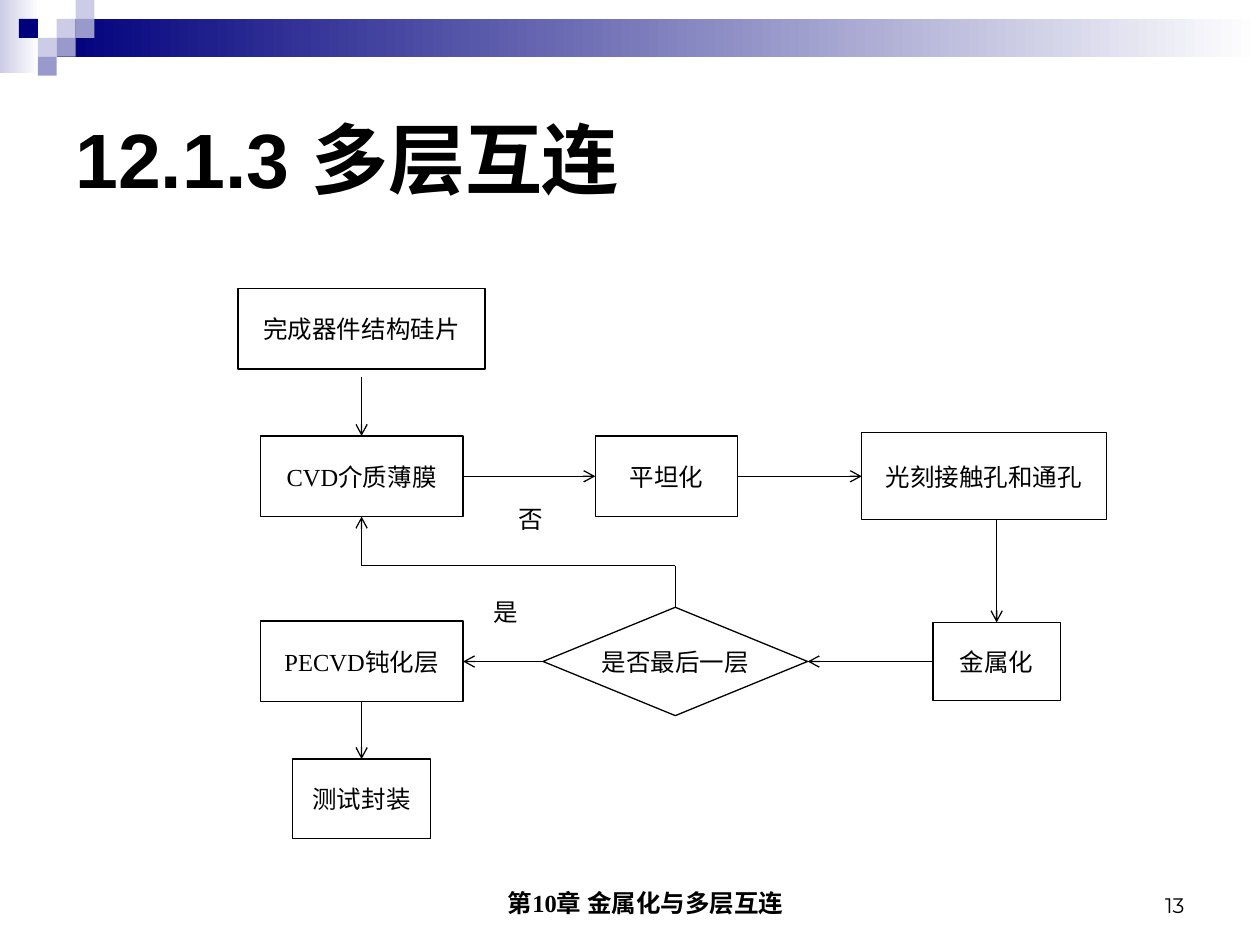
from dataclasses import dataclass

from lxml import etree
from pptx import Presentation
from pptx.dml.color import RGBColor
from pptx.enum.shapes import MSO_CONNECTOR as Connector, MSO_SHAPE as Shape
from pptx.enum.text import MSO_ANCHOR as Anchor, PP_ALIGN as Align
from pptx.oxml.ns import qn
from pptx.util import Inches, Pt


@dataclass(frozen=True)
class Theme:
    black: RGBColor = RGBColor(0, 0, 0)
    white: RGBColor = RGBColor(255, 255, 255)
    navy: RGBColor = RGBColor(0x00, 0x00, 0x7D)
    lavender: RGBColor = RGBColor(0x99, 0x99, 0xCC)
    pale: RGBColor = RGBColor(0xCC, 0xCC, 0xE6)
    heading: str = "Arial"
    body: str = "Times New Roman"
    number: str = "Montserrat"
    title_size: int = 44
    body_size: int = 14
    number_size: int = 12
    line_width: float = 0.75


THEME = Theme()
TOP, LEFT, BOTTOM, RIGHT = range(4)


def write(shape, text, *, size=THEME.body_size, font=THEME.body, bold=False,
          align=Align.CENTER, anchor=Anchor.MIDDLE, wrap=True, margin=0):
    frame = shape.text_frame
    frame.word_wrap = wrap
    frame.vertical_anchor = anchor
    paragraph = frame.paragraphs[0]
    paragraph.alignment = align
    if margin:
        properties = paragraph._p.get_or_add_pPr()
        properties.set("marL", str(Inches(margin)))
        properties.set("indent", "0")
    run = paragraph.add_run()
    run.text = text
    run.font.size = Pt(size)
    run.font.name = font
    run.font.bold = bold
    run.font.color.rgb = THEME.black


def add_text(slide, box, text, **text_format):
    write(slide.shapes.add_textbox(*map(Inches, box)), text, **text_format)


def add_block(slide, box, color, fade=False):
    """Borderless rectangle, either plain or fading to white at its right."""
    block = slide.shapes.add_shape(Shape.RECTANGLE, *map(Inches, box))
    block.shadow.inherit = False
    block.line.fill.background()
    if fade:
        block.fill.gradient()
        block.fill.gradient_angle = 0
        for stop, stop_color in zip(block.fill.gradient_stops, (color, THEME.white)):
            stop.color.rgb = stop_color
    else:
        block.fill.solid()
        block.fill.fore_color.rgb = color


def add_step(slide, center, size, text, kind=Shape.RECTANGLE):
    (x, y), (width, height) = center, size
    step = slide.shapes.add_shape(kind, Inches(x - width / 2), Inches(y - height / 2),
                                  Inches(width), Inches(height))
    step.shadow.inherit = False
    step.fill.solid()
    step.fill.fore_color.rgb = THEME.white
    step.line.color.rgb = THEME.black
    step.line.width = Pt(THEME.line_width)
    write(step, text, wrap=kind == Shape.RECTANGLE)
    return step


def add_link(slide, start, end, arrow=True):
    """Join two ends, each either an (x, y) point or a (step, side) pair."""
    link = slide.shapes.add_connector(Connector.STRAIGHT, 0, 0, 0, 0)
    joined_start, joined_end = (not isinstance(e[0], (int, float)) for e in (start, end))
    if joined_start:
        link.begin_connect(*start)
    else:
        link.begin_x, link.begin_y = map(Inches, start)
    if joined_end:
        link.end_connect(*end)
    else:
        link.end_x, link.end_y = map(Inches, end)
    link.line.color.rgb = THEME.black
    link.line.width = Pt(THEME.line_width)
    if arrow:
        etree.SubElement(link.line._get_or_add_ln(), qn("a:tailEnd"), type="arrow")
    etree.SubElement(link._element.spPr, qn("a:effectLst"))


def add_banner(slide, box):
    left, top, width, height = box
    cell = 0.15
    add_block(slide, (left, top, 0.31, height), THEME.pale, fade=True)
    add_block(slide, (left + 3 * cell, top + cell, width - 3 * cell, 2 * cell),
              THEME.navy, fade=True)
    squares = {
        THEME.pale: [(3, 1), (4, 0), (2, 2)],
        THEME.lavender: [(4, 1), (3, 2), (2, 3)],
        THEME.navy: [(1, 1)],
    }
    for color, cells in squares.items():
        for column, row in cells:
            add_block(slide, (left + column * cell, top + row * cell, cell, cell), color)


def add_flowchart(slide, box):
    left, top = box[:2]

    def at(x, y):
        return left + x, top + y

    main_x, decision_x, metal_x = 0.98, 3.47, 6.02
    film_y, loop_y, decision_y = 1.49, 2.2, 2.96

    for text, x, y in (("否", 2.13, 1.66), ("是", 1.93, 2.4)):
        add_text(slide, (*at(x, y), 0.65, 0.62), text,
                 align=Align.JUSTIFY, anchor=Anchor.TOP)

    add_step(slide, at(main_x, 0.32), (1.96, 0.64), "完成器件结构硅片")
    film = add_step(slide, at(main_x, film_y), (1.61, 0.64), "CVD介质薄膜")
    planar = add_step(slide, at(3.4, film_y), (1.13, 0.64), "平坦化")
    add_step_size = (1.94, 0.69)
    holes = add_step(slide, at(5.92, film_y), add_step_size, "光刻接触孔和通孔")
    metal = add_step(slide, at(metal_x, decision_y), (1.01, 0.62), "金属化")
    last_layer = add_step(slide, at(decision_x, decision_y), (2.1, 0.86),
                          "是否最后一层", Shape.FLOWCHART_DECISION)
    passivation = add_step(slide, at(main_x, decision_y), (1.61, 0.64), "PECVD钝化层")
    packaging = add_step(slide, at(main_x, 4.05), (1.1, 0.63), "测试封装")

    loop_start, loop_end = at(decision_x, loop_y), at(main_x, loop_y)
    add_link(slide, at(main_x, 0.7), (film, TOP))
    add_link(slide, (film, RIGHT), (planar, LEFT))
    add_link(slide, (planar, RIGHT), (holes, LEFT))
    add_link(slide, at(metal_x, 1.83), (metal, TOP))
    add_link(slide, (metal, LEFT), (last_layer, RIGHT))
    add_link(slide, (last_layer, LEFT), (passivation, RIGHT))
    add_link(slide, (last_layer, TOP), loop_start, arrow=False)
    add_link(slide, loop_start, loop_end, arrow=False)
    add_link(slide, loop_end, (film, BOTTOM))
    add_link(slide, (passivation, BOTTOM), (packaging, TOP))


def add_footer(slide, box):
    left, top, width, height = box
    add_text(slide, (left, top, 3.17, height), "第10章 金属化与多层互连",
             bold=True, anchor=Anchor.BOTTOM, margin=0.24)
    number_width = 2.33
    add_text(slide, (left + width - number_width, top, number_width, height), "13",
             size=THEME.number_size, font=THEME.number,
             align=Align.RIGHT, anchor=Anchor.BOTTOM)


def main():
    deck = Presentation()
    deck.slide_width, deck.slide_height = Inches(10), Inches(7.5)
    slide = deck.slides.add_slide(deck.slide_layouts[6])
    add_banner(slide, (0, 0, 10, 0.58))
    add_text(slide, (0.5, 0.5, 9, 1.5), "12.1.3 多层互连", size=THEME.title_size,
             font=THEME.heading, bold=True, align=Align.LEFT)
    add_flowchart(slide, (1.89, 2.29, 6.89, 4.37))
    add_footer(slide, (3.42, 6.83, 6.08, 0.5))
    deck.save("out.pptx")


if __name__ == "__main__":
    main()
